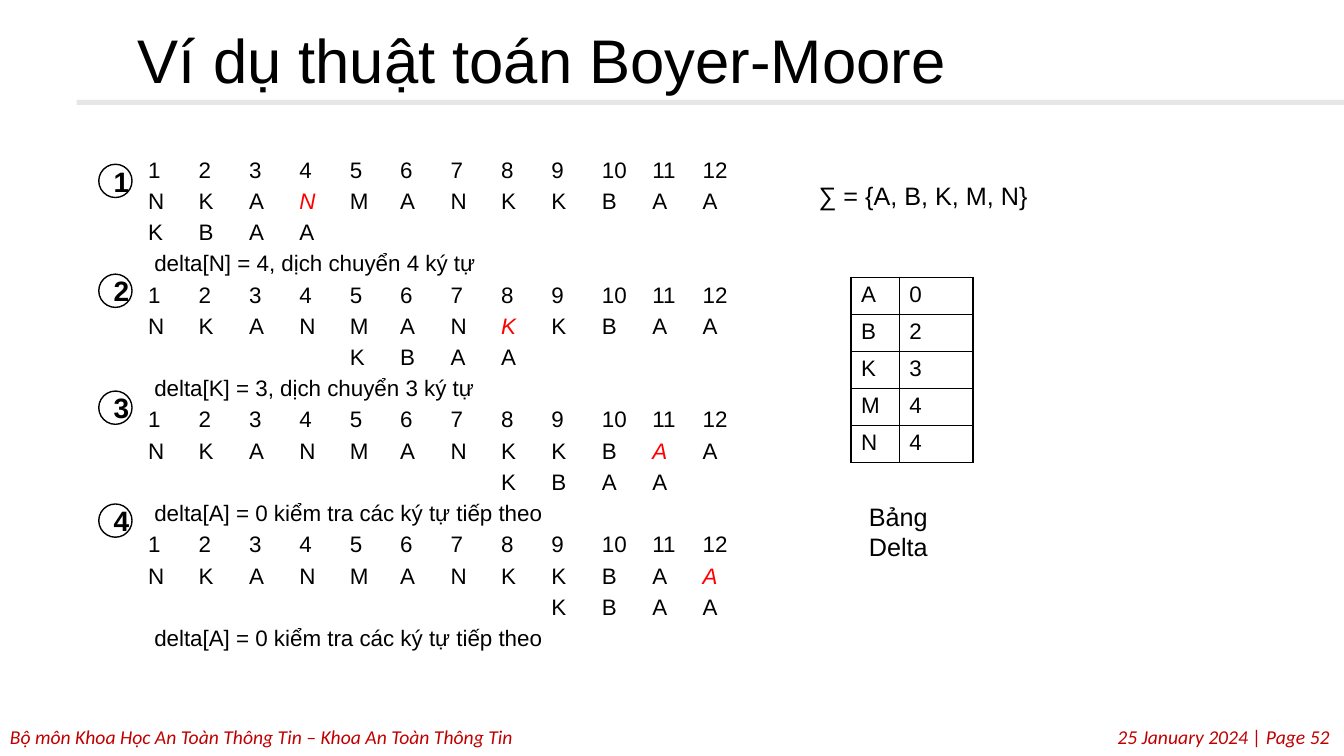
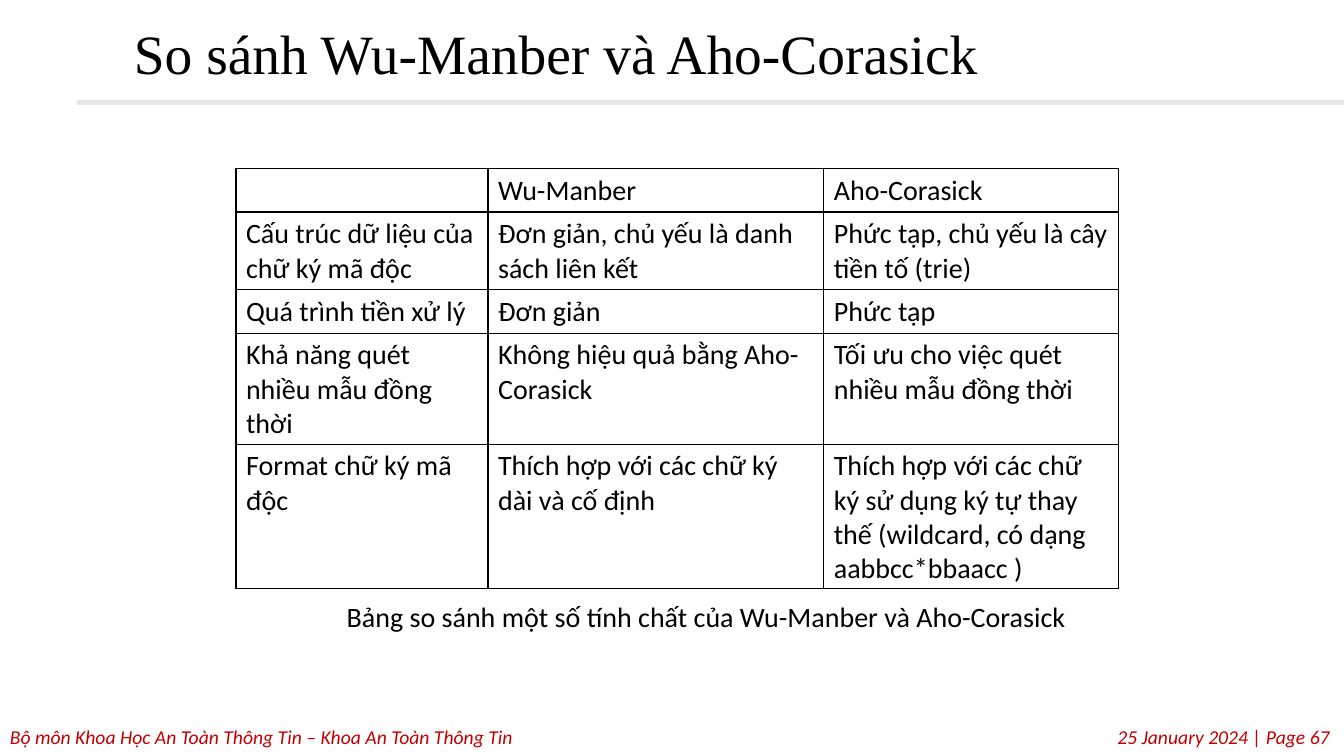
from lxml import etree
from pptx import Presentation
from pptx import util as u
from pptx.dml.color import RGBColor
from pptx.enum import shapes, text
from pptx.oxml.ns import qn

PX = 9144  # one px is a hundredth of an inch
COLORS = {
    "ink": "000000",
    "paper": "FFFFFF",
    "rule": "E7E6E6",
    "footer": "C00000",
    "mismatch": "FF0000",
}
SANS, BODY, SERIF = "Arial", "Calibri", "Times New Roman"
NO_STYLE_NO_GRID = "{2D5ABB26-0587-4C30-8999-92F81FD0307C}"

DEPARTMENT = "Bộ môn Khoa Học An Toàn Thông Tin – Khoa An Toàn Thông Tin"
DATE = "25 January 2024"

# Search example: pattern shift, mismatch column, explanation, marker top
HAYSTACK, PATTERN = "NKANMANKKBAA", "KBAA"
STEPS = [
    (0, 3, "delta[N] = 4, dịch chuyển 4 ký tự", 163),
    (4, 7, "delta[K] = 3, dịch chuyển 3 ký tự", 272),
    (7, 10, "delta[A] = 0 kiểm tra các ký tự tiếp theo", 388),
    (8, 11, "delta[A] = 0 kiểm tra các ký tự tiếp theo", 500),
]
DELTA = [("A", "0"), ("B", "2"), ("K", "3"), ("M", "4"), ("N", "4")]

COMPARISON = [
    ("", "Wu-Manber", "Aho-Corasick"),
    ("Cấu trúc dữ liệu của chữ ký mã độc",
     "Đơn giản, chủ yếu là danh sách liên kết",
     "Phức tạp, chủ yếu là cây tiền tố (trie)"),
    ("Quá trình tiền xử lý", "Đơn giản", "Phức tạp"),
    ("Khả năng quét nhiều mẫu đồng thời",
     "Không hiệu quả bằng Aho-Corasick",
     "Tối ưu cho việc quét nhiều mẫu đồng thời"),
    ("Format chữ ký mã độc",
     "Thích hợp với các chữ ký dài và cố định",
     "Thích hợp với các chữ ký sử dụng ký tự thay thế "
     "(wildcard, có dạng aabbcc*bbaacc )"),
]


def px(*lengths):
    return [u.Emu(length * PX) for length in lengths]


def rgb(name):
    return RGBColor.from_string(COLORS[name])


def write(frame, content, size, font, color="ink", bold=False, italic=False,
          align=None, spacing=None):
    frame.text = content
    paragraph = frame.paragraphs[0]
    paragraph.alignment = align
    paragraph.line_spacing = spacing
    for run in paragraph.runs:
        run.font.size = u.Pt(size)
        run.font.name = font
        run.font.bold = bold
        run.font.italic = italic
        run.font.color.rgb = rgb(color)


def add_label(slide, box, content, size, font, **style):
    frame = slide.shapes.add_textbox(*px(*box)).text_frame
    frame.word_wrap = True
    write(frame, content, size, font, **style)


def add_block(slide, kind, box, fill, outline=None):
    block = slide.shapes.add_shape(kind, *px(*box))
    block.shadow.inherit = False
    block.fill.solid()
    block.fill.fore_color.rgb = rgb(fill)
    if outline:
        block.line.color.rgb = rgb(outline)
        block.line.width = u.Pt(1)
    else:
        block.line.fill.background()
    return block


# Frame shared by all slides
def add_page(deck, number, title, title_box, size, font):
    slide = deck.slides.add_slide(deck.slide_layouts[6])
    footer = {"color": "footer", "italic": True}
    add_label(slide, (0, 714, 1333, 34), DEPARTMENT, 14, BODY, **footer)
    add_label(slide, (0, 714, 1329, 34), f"{DATE} | Page {number}", 14, BODY,
              align=text.PP_ALIGN.RIGHT, **footer)
    add_block(slide, shapes.MSO_SHAPE.RECTANGLE, (76, 99, 1258, 5), "rule")
    add_label(slide, title_box, title, size, font, spacing=0.9)
    return slide


# Tables
def add_plain_table(slide, left, top, columns, rows):
    frame = slide.shapes.add_table(
        len(rows), len(columns), *px(left, top, sum(columns), sum(rows)))
    table = frame.table
    table.first_row = table.horz_banding = False
    table._tbl.find(".//" + qn("a:tableStyleId")).text = NO_STYLE_NO_GRID
    for column, width in zip(table.columns, px(*columns)):
        column.width = width
    for row, height in zip(table.rows, px(*rows)):
        row.height = height
    return table


def outline_cell(cell):
    properties = cell._tc.get_or_add_tcPr()
    for side in ("a:lnL", "a:lnR", "a:lnT", "a:lnB"):
        line = etree.SubElement(properties, qn(side), w=str(u.Pt(1)))
        fill = etree.SubElement(line, qn("a:solidFill"))
        etree.SubElement(fill, qn("a:srgbClr"), val=COLORS["ink"])


def add_grid(slide, left, top, columns, rows, records, size, font):
    table = add_plain_table(slide, left, top, columns, rows)
    for r, record in enumerate(records):
        for c, content in enumerate(record):
            cell = table.cell(r, c)
            outline_cell(cell)
            cell.fill.background()
            write(cell.text_frame, content, size, font)


def add_trace(slide, left, top):
    width = len(HAYSTACK)
    table = add_plain_table(slide, left, top, [50] * width,
                            [31] * (4 * len(STEPS)))
    for cell in table.iter_cells():
        cell.fill.background()
        cell.margin_left = cell.margin_right = u.Emu(7 * PX)
        cell.margin_top = cell.margin_bottom = 0

    def put(row, column, content, **style):
        write(table.cell(row, column).text_frame, content, 16, SANS,
              spacing=1.15, **style)

    for step, (shift, mismatch, note, _) in enumerate(STEPS):
        first = 4 * step
        for column, letter in enumerate(HAYSTACK):
            missed = column == mismatch
            put(first, column, str(column + 1))
            put(first + 1, column, letter, italic=missed,
                color="mismatch" if missed else "ink")
        for offset, letter in enumerate(PATTERN):
            put(first + 2, shift + offset, letter)
        note_cell = table.cell(first + 3, 0)
        note_cell.merge(table.cell(first + 3, width - 1))
        note_cell.margin_left = u.Emu(13 * PX)
        put(first + 3, 0, note)


def add_step_marker(slide, number, top):
    marker = add_block(slide, shapes.MSO_SHAPE.OVAL, (98, top, 33, 33),
                       "paper", "ink")
    write(marker.text_frame, str(number), 20, SANS, bold=True,
          align=text.PP_ALIGN.CENTER)


# Slides
def add_search_example(deck):
    slide = add_page(deck, 52, "Ví dụ thuật toán Boyer-Moore",
                     (127, 25, 900, 78), 44, SANS)
    add_trace(slide, 140, 153)
    add_grid(slide, 844, 275, [48, 73], [31] * len(DELTA), DELTA, 16, SANS)
    add_label(slide, (802, 174, 233, 40), "∑ = {A, B, K, M, N}", 18, SANS)
    for number, (*_, top) in enumerate(STEPS, 1):
        add_step_marker(slide, number, top)
    add_label(slide, (852, 492, 133, 71), "Bảng Delta", 18, SANS)


def add_comparison(deck):
    slide = add_page(deck, 67, "So sánh Wu-Manber và Aho-Corasick",
                     (123, 21, 900, 125), 39.6, SERIF)
    add_grid(slide, 234, 167, [250, 333, 292], [42, 75, 42, 75, 75],
             COMPARISON, 20, BODY)
    add_label(slide, (334, 590, 813, 44),
              "Bảng so sánh một số tính chất của Wu-Manber và Aho-Corasick",
              20, BODY)


def main():
    deck = Presentation()
    deck.slide_width, deck.slide_height = px(1333, 750)
    add_search_example(deck)
    add_comparison(deck)
    deck.save("out.pptx")


if __name__ == "__main__":
    main()
